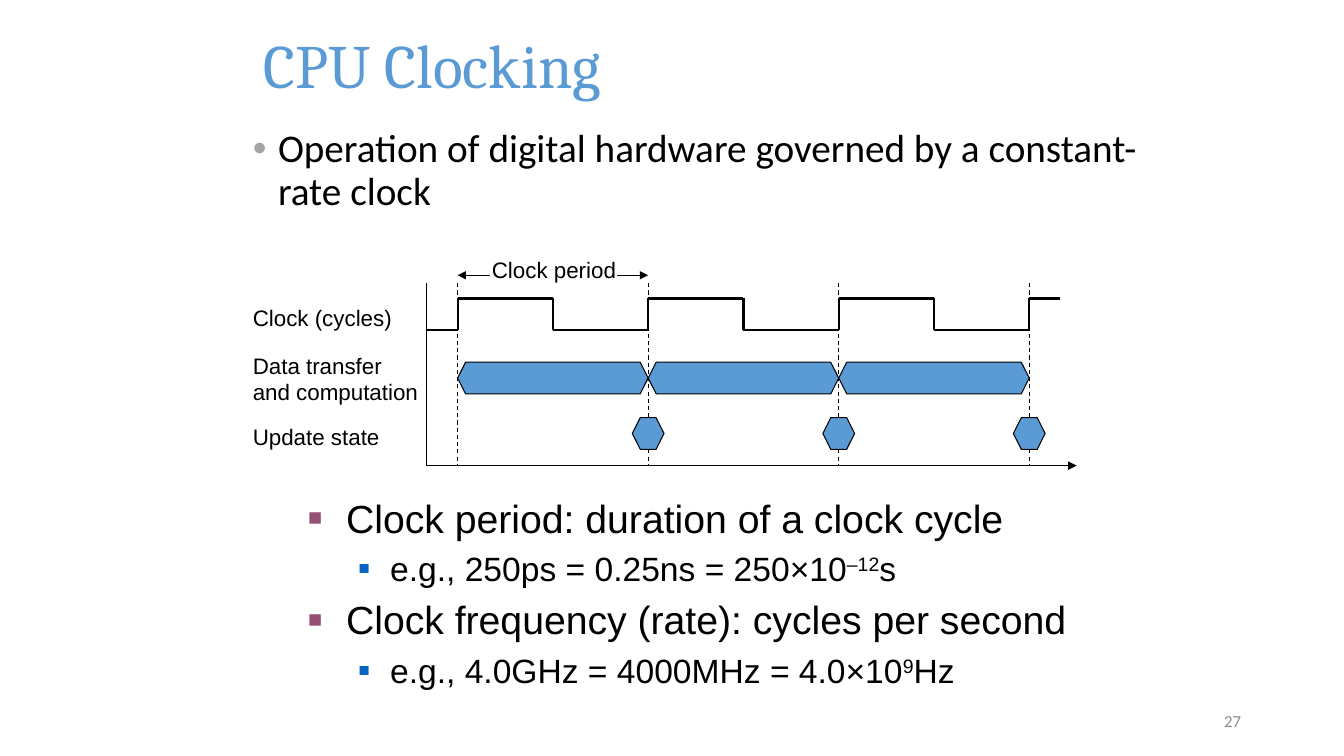
from lxml.etree import SubElement
from pptx import Presentation
from pptx.dml.color import RGBColor
from pptx.enum.dml import MSO_LINE
from pptx.enum.shapes import MSO_CONNECTOR, MSO_SHAPE
from pptx.enum.text import MSO_ANCHOR, PP_ALIGN
from pptx.oxml.ns import qn
from pptx.util import Pt

BLACK, WHITE, BLUE = "000000", "FFFFFF", "5B9BD5"
GREY, PLUM, LINK_BLUE, NUMBER_GREY = "A5A5A5", "954F72", "0563C1", "8C8C8C"

# Timing diagram, in points
AXIS_LEFT, AXIS_RIGHT, AXIS_TOP, AXIS_BOTTOM = 304.5, 769, 202.3, 332.6
FIRST_EDGE, PERIOD, CYCLES = 326.9, 136.1, 3
HIGH, LOW = 213.2, 236
WAVE_END = 757.5
BAR_TOP, STATE_TOP, HEXAGON_HEIGHT = 258.7, 298.3, 22.7
STATE_WIDTH, HEXAGON_TIP = 22.7, 5.7
EDGES = [FIRST_EDGE + PERIOD * cycle for cycle in range(CYCLES + 1)]

LABEL = {"name": "Arial", "size": Pt(16)}
TOPIC = {"name": "Arial", "size": Pt(28)}
EXAMPLE = {"name": "Arial", "size": Pt(24)}
TOPIC_BULLET = {"char": "■", "color": PLUM, "percent": 60,
                "left": 27, "hanging": 27, "before": 20}
EXAMPLE_BULLET = {"char": "■", "color": LINK_BLUE, "percent": 55,
                  "left": 58.5, "hanging": 22.5, "before": 20}
STATEMENT_BULLET = {"char": "•", "color": GREY, "percent": 100,
                    "left": 18, "hanging": 18, "before": 30}


def rgb(value):
    return RGBColor.from_string(value)


def apply_format(target, values):
    for name, value in values.items():
        setattr(target, name, value)


def add_line(slide, start, end, width=0.75, dashed=False, arrows=()):
    line = slide.shapes.add_connector(
        MSO_CONNECTOR.STRAIGHT, *(Pt(value) for value in (*start, *end)))
    line.line.width = Pt(width)
    line.line.color.rgb = rgb(BLACK)
    if dashed:
        line.line.dash_style = MSO_LINE.DASH
    outline = line.line._get_or_add_ln()
    for arrow in arrows:
        SubElement(outline, qn(f"a:{arrow}"), type="triangle")
    SubElement(line._element.spPr, qn("a:effectLst"))


def add_hexagon(slide, left, top, width):
    right, middle, bottom = left + width, top + HEXAGON_HEIGHT / 2, top + HEXAGON_HEIGHT
    corners = [(left + HEXAGON_TIP, top), (right - HEXAGON_TIP, top), (right, middle),
               (right - HEXAGON_TIP, bottom), (left + HEXAGON_TIP, bottom)]
    builder = slide.shapes.build_freeform(Pt(left), Pt(middle))
    builder.add_line_segments([(Pt(x), Pt(y)) for x, y in corners], close=True)
    shape = builder.convert_to_shape()
    shape.shadow.inherit = False
    shape.fill.solid()
    shape.fill.fore_color.rgb = rgb(BLUE)
    shape.line.color.rgb = rgb(BLACK)
    shape.line.width = Pt(0.75)


def add_text_box(slide, box, wrap=True, anchor=MSO_ANCHOR.TOP):
    shape = slide.shapes.add_textbox(*(Pt(value) for value in box))
    apply_format(shape.text_frame, {"word_wrap": wrap, "vertical_anchor": anchor})
    return shape.text_frame


def add_run(paragraph, text, font, color=BLACK, raised=False):
    run = paragraph.add_run()
    run.text = text
    apply_format(run.font, font)
    run.font.color.rgb = rgb(color)
    if raised:
        run._r.get_or_add_rPr().set("baseline", "30000")


def add_bullet(paragraph, bullet):
    properties = paragraph._p.get_or_add_pPr()
    properties.set("marL", str(Pt(bullet["left"])))
    properties.set("indent", str(-Pt(bullet["hanging"])))
    before = SubElement(properties, qn("a:spcBef"))
    SubElement(before, qn("a:spcPct"), val=str(bullet["before"] * 1000))
    color = SubElement(properties, qn("a:buClr"))
    SubElement(color, qn("a:srgbClr"), val=bullet["color"])
    SubElement(properties, qn("a:buSzPct"), val=str(bullet["percent"] * 1000))
    SubElement(properties, qn("a:buFont"), typeface="Arial")
    SubElement(properties, qn("a:buChar"), char=bullet["char"])


def add_label(slide, box, text, align=PP_ALIGN.LEFT):
    paragraph = add_text_box(slide, box, wrap=False).paragraphs[0]
    paragraph.alignment = align
    for index, line in enumerate(text.split("\n")):
        if index:
            paragraph.add_line_break()
        add_run(paragraph, line, LABEL)


def add_heading(slide):
    title = add_text_box(slide, (181.4, 7.2, 711.4, 76.3), anchor=MSO_ANCHOR.MIDDLE)
    add_run(title.paragraphs[0], "CPU Clocking", {"name": "Cambria", "size": Pt(44)}, BLUE)

    statement = add_text_box(slide, (173.5, 88.6, 651.6, 96.5)).paragraphs[0]
    statement.line_spacing = 0.9
    add_bullet(statement, STATEMENT_BULLET)
    add_run(statement, "Operation of digital hardware governed by a constant-rate clock",
            {"name": "Calibri", "size": Pt(28)})


def add_clock_wave(slide):
    points = [(AXIS_LEFT, LOW)]
    for edge in EDGES:
        points += [(edge, LOW), (edge, HIGH)]
        if edge != EDGES[-1]:
            middle = edge + PERIOD / 2
            points += [(middle, HIGH), (middle, LOW)]
    points.append((WAVE_END, HIGH))
    for start, end in zip(points, points[1:]):
        add_line(slide, start, end, width=1.5)


def add_timing_diagram(slide):
    # Period arrow and cycle boundaries
    add_line(slide, (EDGES[0], 196.6), (EDGES[1], 196.6), arrows=("headEnd", "tailEnd"))
    for edge in EDGES:
        add_line(slide, (edge, AXIS_TOP), (edge, AXIS_BOTTOM), dashed=True)

    # Clock signal, state updates and data transfers
    add_clock_wave(slide)
    for edge in EDGES[1:]:
        add_hexagon(slide, edge - STATE_WIDTH / 2, STATE_TOP, STATE_WIDTH)
    for edge in EDGES[:-1]:
        add_hexagon(slide, edge, BAR_TOP, PERIOD)

    # Axes
    add_line(slide, (AXIS_LEFT, AXIS_BOTTOM), (AXIS_RIGHT, AXIS_BOTTOM), arrows=("tailEnd",))
    add_line(slide, (AXIS_LEFT, AXIS_BOTTOM), (AXIS_LEFT, AXIS_TOP))

    # Row labels
    add_label(slide, (173.5, 213.8, 113.8, 26.6), "Clock (cycles)")
    add_label(slide, (173.5, 247.7, 132.5, 46.1), "Data transfer\nand computation")
    add_label(slide, (173.5, 298.8, 105.1, 26.6), "Update state")

    # Period label on a white gap in the arrow
    gap = slide.shapes.add_shape(
        MSO_SHAPE.RECTANGLE, Pt(349.9), Pt(190.8), Pt(90.7), Pt(11.5))
    gap.shadow.inherit = False
    gap.fill.solid()
    gap.fill.fore_color.rgb = rgb(WHITE)
    gap.line.fill.background()
    add_label(slide, (344.2, 179.3, 103, 26.6), "Clock period", PP_ALIGN.CENTER)


def add_definitions(slide):
    definitions = [
        ("Clock period: duration of a clock cycle",
         ("e.g., 250ps = 0.25ns = 250×10", "–12", "s")),
        ("Clock frequency (rate): cycles per second",
         ("e.g., 4.0GHz = 4000MHz = 4.0×10", "9", "Hz")),
    ]
    frame = add_text_box(slide, (213.1, 349.2, 612, 153.4))
    paragraph = frame.paragraphs[0]
    for index, (topic, (base, exponent, unit)) in enumerate(definitions):
        if index:
            paragraph = frame.add_paragraph()
        add_bullet(paragraph, TOPIC_BULLET)
        add_run(paragraph, topic, TOPIC)

        example = frame.add_paragraph()
        example.level = 1
        add_bullet(example, EXAMPLE_BULLET)
        add_run(example, base, EXAMPLE)
        add_run(example, exponent, EXAMPLE, raised=True)
        add_run(example, unit, EXAMPLE)


def add_slide_number(slide):
    frame = add_text_box(slide, (635.8, 500.4, 257.8, 28.8), anchor=MSO_ANCHOR.MIDDLE)
    frame.paragraphs[0].alignment = PP_ALIGN.RIGHT
    add_run(frame.paragraphs[0], "27", {"name": "Calibri", "size": Pt(12)}, NUMBER_GREY)


def main():
    presentation = Presentation()
    apply_format(presentation, {"slide_width": Pt(960), "slide_height": Pt(540)})
    slide = presentation.slides.add_slide(presentation.slide_layouts[6])
    add_heading(slide)
    add_timing_diagram(slide)
    add_definitions(slide)
    add_slide_number(slide)
    presentation.save("out.pptx")


if __name__ == "__main__":
    main()
